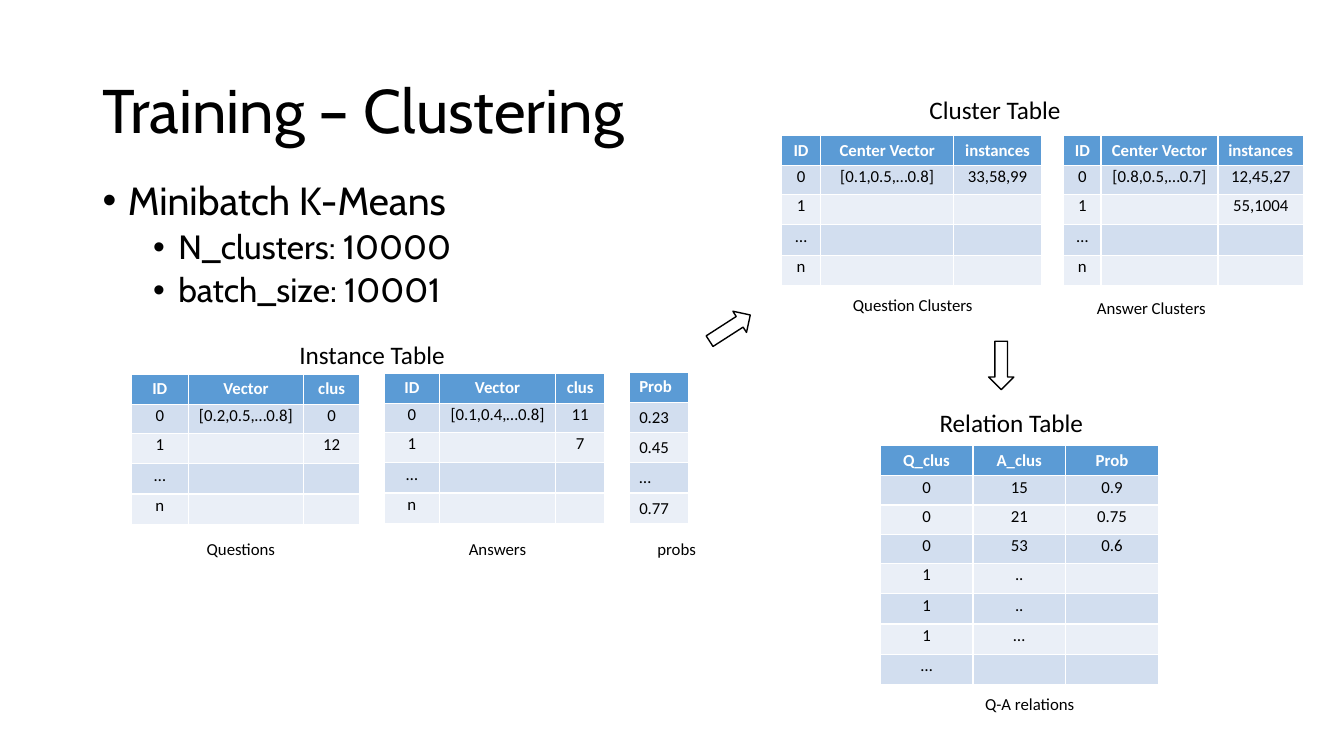
from dataclasses import dataclass

from lxml.etree import SubElement
from pptx import Presentation
from pptx.dml.color import RGBColor
from pptx.enum.shapes import MSO_SHAPE as Preset
from pptx.enum.text import MSO_ANCHOR as Anchor, MSO_AUTO_SIZE as AutoSize, PP_ALIGN as Align
from pptx.oxml.ns import qn
from pptx.util import Inches, Pt


@dataclass(frozen=True)
class Theme:
    """Colours, fonts and type sizes of the slide."""
    ink: RGBColor = RGBColor.from_string("000000")
    paper: RGBColor = RGBColor.from_string("FFFFFF")
    header: RGBColor = RGBColor.from_string("5B9BD5")
    bands: tuple = (RGBColor.from_string("D2DEEF"), RGBColor.from_string("EAEFF7"))
    display: str = "Cabin"
    label: str = "Calibri"
    title: int = 44
    bullets: tuple = (28, 24)
    heading: int = 18
    small: int = 12


THEME = Theme()


def add_run(paragraph, text, size, font=THEME.label, color=THEME.ink, bold=False):
    """Append one formatted run to a paragraph."""
    run = paragraph.add_run()
    run.text = text
    run.font.size = Pt(size)
    run.font.name = font
    run.font.bold = bold
    run.font.color.rgb = color


def add_title(slide, text, left, top, width, height):
    """Place and format the title placeholder."""
    title = slide.shapes.title
    title.left, title.top = Inches(left), Inches(top)
    title.width, title.height = Inches(width), Inches(height)
    frame = title.text_frame
    frame.auto_size = AutoSize.NONE
    frame.vertical_anchor = Anchor.MIDDLE
    paragraph = frame.paragraphs[0]
    paragraph.alignment = Align.LEFT
    paragraph.line_spacing = 0.9
    add_run(paragraph, text, THEME.title, THEME.display)


def add_text_box(slide, left, top, width, height):
    """Add a wrapping text box and return its text frame."""
    box = slide.shapes.add_textbox(Inches(left), Inches(top), Inches(width), Inches(height))
    box.text_frame.word_wrap = True
    return box.text_frame


def add_bullets(slide, items, left, top, width, height):
    """Add a bulleted list of (level, text) items."""
    frame = add_text_box(slide, left, top, width, height)
    for index, (level, text) in enumerate(items):
        paragraph = frame.paragraphs[0] if index == 0 else frame.add_paragraph()
        paragraph.level = level
        paragraph.line_spacing = 0.9
        paragraph.space_before = Pt(5 if level else 10)
        properties = paragraph._p.get_or_add_pPr()
        properties.set("marL", str(Inches(0.25 + 0.5 * level)))
        properties.set("indent", str(Inches(-0.25)))
        SubElement(properties, qn("a:buFont"), typeface="Arial")
        SubElement(properties, qn("a:buChar"), char="•")
        add_run(paragraph, text, THEME.bullets[level], THEME.display)


def add_heading(slide, text, left, top):
    """Add the heading above a group of tables."""
    frame = add_text_box(slide, left, top, 1.66, 0.4)
    add_run(frame.paragraphs[0], text, THEME.heading)


def add_caption(slide, text, left, top, width):
    """Add a small caption without insets."""
    frame = add_text_box(slide, left, top, width, 0.2)
    frame.margin_left = frame.margin_right = frame.margin_top = frame.margin_bottom = 0
    add_run(frame.paragraphs[0], text, THEME.small)


def add_data_table(slide, left, top, widths, rows, row_height=0.29, centered=True):
    """Add a banded table whose first row is the header."""
    table = slide.shapes.add_table(
        len(rows), len(widths), Inches(left), Inches(top),
        Inches(sum(widths)), Inches(row_height * len(rows))).table
    for column, width in zip(table.columns, widths):
        column.width = Inches(width)
    for row_index, values in enumerate(rows):
        is_header = row_index == 0
        table.rows[row_index].height = Inches(row_height)
        for column_index, text in enumerate(values):
            cell = table.cell(row_index, column_index)
            cell.fill.solid()
            cell.fill.fore_color.rgb = THEME.header if is_header else THEME.bands[(row_index - 1) % 2]
            paragraph = cell.text_frame.paragraphs[0]
            if not text:
                SubElement(paragraph._p, qn("a:endParaRPr"), sz=str(THEME.small * 100))
                continue
            if centered:
                paragraph.alignment = Align.CENTER
                if not is_header:
                    paragraph.line_spacing = Pt(12)
            add_run(paragraph, text, THEME.small,
                    color=THEME.paper if is_header else THEME.ink, bold=is_header)


def add_arrow(slide, left, top, rotation):
    """Add an outlined block arrow."""
    arrow = slide.shapes.add_shape(
        Preset.RIGHT_ARROW, Inches(left), Inches(top), Inches(0.48), Inches(0.25))
    arrow.rotation = rotation
    arrow.shadow.inherit = False
    arrow.fill.background()
    arrow.line.color.rgb = THEME.ink
    arrow.line.width = Pt(1)


def indexed_rows(header, first, second):
    """Return rows numbered 0, 1, … and n under a header."""
    return [header, ("0", *first), ("1", *second), ("…", "", ""), ("n", "", "")]


def add_instance_tables(slide, left, top):
    """Add the question, answer and probability instances."""
    header = ("ID", "Vector", "clus")
    add_heading(slide, "Instance Table", left + 1.57, top - 0.39)
    add_data_table(slide, left, top, (0.57, 1.14, 0.56),
                   indexed_rows(header, ("[0.2,0.5,…0.8]", "0"), ("", "12")))
    add_data_table(slide, left + 2.51, top - 0.01, (0.55, 1.15, 0.49),
                   indexed_rows(header, ("[0.1,0.4,…0.8]", "11"), ("", "7")))
    probabilities = [(text,) for text in ("Prob", "0.23", "0.45", "…", "0.77")]
    add_data_table(slide, left + 4.94, top - 0.02, (0.59,), probabilities, 0.28, False)
    for text, offset, width in (("Questions", 0.75, 0.74), ("Answers", 3.35, 0.74),
                                ("probs", 5.22, 0.46)):
        add_caption(slide, text, left + offset, top + 1.63, width)


def add_cluster_tables(slide, left, top):
    """Add the question and answer clusters."""
    header = ("ID", "Center Vector", "instances")
    add_heading(slide, "Cluster Table", left + 1.37, top - 0.45)
    add_data_table(slide, left, top, (0.39, 1.32, 0.87),
                   indexed_rows(header, ("[0.1,0.5,…0.8]", "33,58,99"), ("", "")))
    add_data_table(slide, left + 2.8, top, (0.37, 1.16, 0.85),
                   indexed_rows(header, ("[0.8,0.5,…0.7]", "12,45,27"), ("", "55,1004")))
    add_caption(slide, "Question Clusters", left + 0.71, top + 1.58, 1.31)
    add_caption(slide, "Answer Clusters", left + 3.13, top + 1.61, 1.2)


def add_relation_table(slide, left, top):
    """Add the relations between question and answer clusters."""
    rows = [("Q_clus", "A_clus", "Prob"), ("0", "15", "0.9"), ("0", "21", "0.75"),
            ("0", "53", "0.6"), ("1", "..", ""), ("1", "..", ""), ("1", "…", ""), ("…", "", "")]
    add_heading(slide, "Relation Table", left + 0.49, top - 0.43)
    add_data_table(slide, left, top, (0.92,) * 3, rows)
    add_caption(slide, "Q-A relations", left + 1.04, top + 2.46, 0.99)


def main():
    """Build and save the clustering slide."""
    presentation = Presentation()
    presentation.slide_width, presentation.slide_height = Inches(13.33), Inches(7.5)
    slide = presentation.slides.add_slide(presentation.slide_layouts[5])
    add_title(slide, "Training – Clustering", 0.92, 0.4, 11.5, 1.45)
    add_bullets(slide, [(0, "Minibatch K-Means"), (1, "N_clusters: 10000"),
                        (1, "batch_size: 10001")], 0.92, 1.75, 11.5, 4.76)
    add_relation_table(slide, 8.73, 4.42)
    add_cluster_tables(slide, 7.75, 1.34)
    add_instance_tables(slide, 1.3, 3.71)
    add_arrow(slide, 7, 3.13, 327.2)
    add_arrow(slide, 9.69, 3.5, 90)
    presentation.save("out.pptx")


if __name__ == "__main__":
    main()
